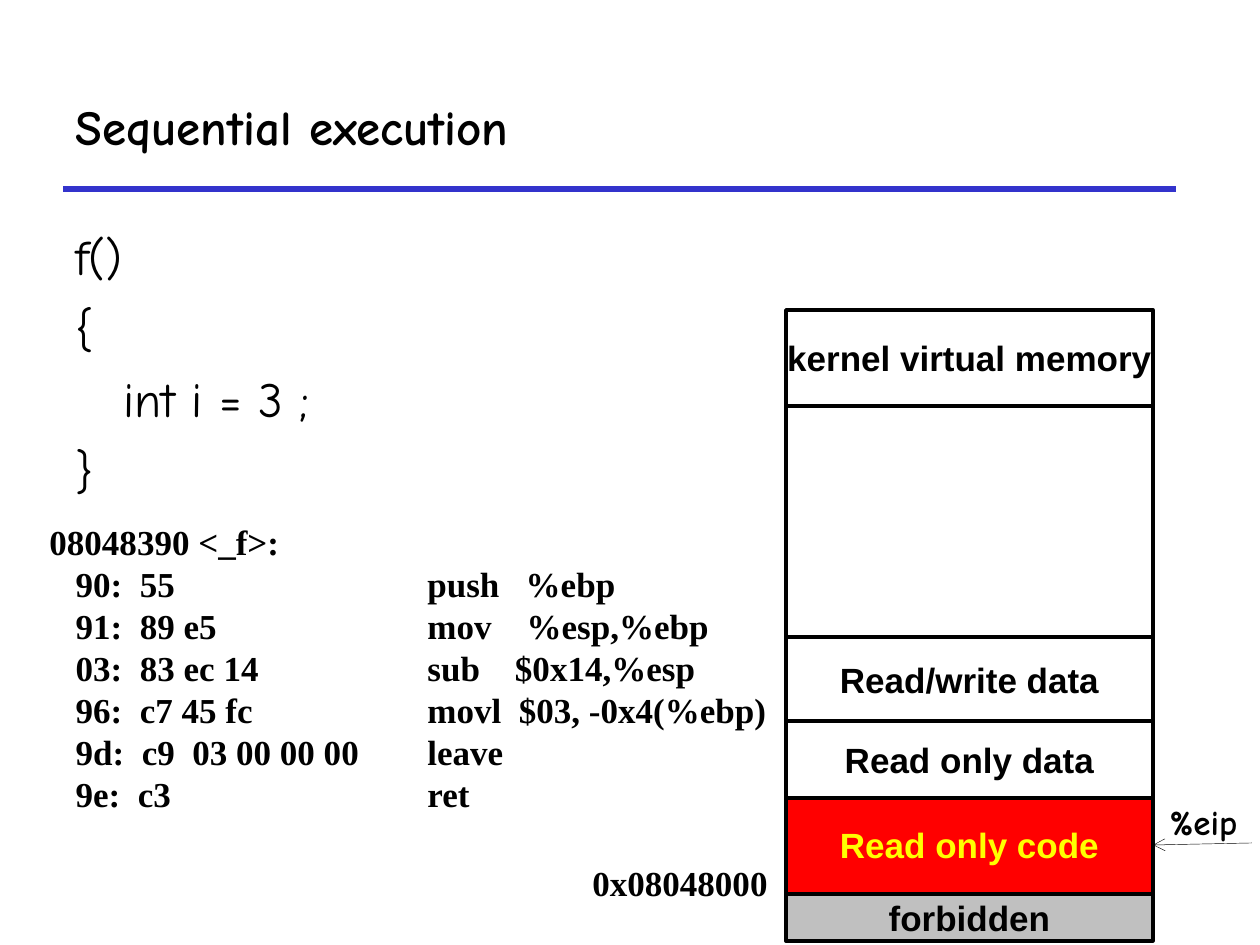
from lxml import etree
from pptx import Presentation
from pptx.dml.color import RGBColor
from pptx.enum.shapes import MSO_CONNECTOR, MSO_SHAPE
from pptx.enum.text import MSO_ANCHOR, PP_ALIGN
from pptx.oxml.ns import qn
from pptx.util import Emu, Pt

STRAIGHT = MSO_CONNECTOR.STRAIGHT
RECTANGLE = MSO_SHAPE.RECTANGLE
TOP, MIDDLE = MSO_ANCHOR.TOP, MSO_ANCHOR.MIDDLE
LEFT, CENTER = PP_ALIGN.LEFT, PP_ALIGN.CENTER

BLACK = RGBColor(0x00, 0x00, 0x00)
WHITE = RGBColor(0xFF, 0xFF, 0xFF)
BLUE = RGBColor(0x33, 0x33, 0xCC)
RED = RGBColor(0xFF, 0x00, 0x00)
YELLOW = RGBColor(0xFF, 0xFF, 0x00)
GREY = RGBColor(0xC0, 0xC0, 0xC0)

HAND, SERIF, SANS = "Comic Neue", "Times New Roman", "Arial"

TITLE = "Sequential execution"
SOURCE = ["f()", "{", "\tint i = 3 ;", "}"]
ASSEMBLY = [
    "08048390 <_f>:",
    "   90:  55\tpush   %ebp",
    "   91:  89 e5\tmov    %esp,%ebp",
    "   03:  83 ec 14\tsub    $0x14,%esp",
    "   96:  c7 45 fc\tmovl  $03, -0x4(%ebp)",
    "   9d:  c9  03 00 00 00\tleave",
    "   9e:  c3\tret",
]
MEMORY_LEFT, MEMORY_WIDTH = 786, 367
MEMORY = [
    ("kernel virtual memory", 310, 96, WHITE, BLACK),
    ("", 406, 273, WHITE, BLACK),
    ("Read only code", 794, 102, RED, YELLOW),
    ("Read only data", 721, 77, WHITE, BLACK),
    ("Read/write data", 637, 84, WHITE, BLACK),
    ("forbidden", 894, 47, GREY, BLACK),
]
LABELS = [
    ("0x08048000", SERIF, (574, 855, 212, 55)),
    ("%eip", HAND, (1152, 794, 103, 55)),
]


def px(length):
    return Emu(round(length * 914400 / 126))


def area(*lengths):
    return [px(length) for length in lengths]


def write(shape, lines, font, size, color=BLACK, bold=True, align=LEFT,
          anchor=TOP, wrap=True, gap=0, hang=0, tab=0):
    frame = shape.text_frame
    frame.word_wrap = wrap
    frame.vertical_anchor = anchor
    for index, line in enumerate(lines):
        para = frame.add_paragraph() if index else frame.paragraphs[0]
        para.alignment = align
        para.space_before = Pt(gap if index else 0)
        properties = para._p.get_or_add_pPr()
        if hang:
            properties.set("marL", str(px(hang)))
            properties.set("indent", str(-px(hang)))
        if tab:
            stops = etree.SubElement(properties, qn("a:tabLst"))
            etree.SubElement(stops, qn("a:tab"), pos=str(px(tab)), algn="l")
        span = para.add_run()
        span.text = line
        span.font.name = font
        span.font.size = Pt(size)
        span.font.bold = bold
        span.font.color.rgb = color


def add_line(page, ends, color, width, arrow=False):
    line = page.shapes.add_connector(STRAIGHT, *area(*ends))
    line.line.color.rgb = color
    line.line.width = Pt(width)
    if arrow:
        etree.SubElement(line.line._get_or_add_ln(), qn("a:tailEnd"), type="arrow")
    etree.SubElement(line._element.spPr, qn("a:effectLst"))


def add_region(page, name, top, height, fill, color):
    region = page.shapes.add_shape(
        RECTANGLE, *area(MEMORY_LEFT, top, MEMORY_WIDTH, height))
    region.shadow.inherit = False
    region.fill.solid()
    region.fill.fore_color.rgb = fill
    region.line.color.rgb = BLACK
    region.line.width = Pt(2)
    if name:
        write(region, [name], SANS, 20, color, align=CENTER, anchor=MIDDLE, wrap=False)


def main():
    deck = Presentation()
    deck.slide_width, deck.slide_height = area(1260, 945)
    page = deck.slides.add_slide(deck.slide_layouts[5])

    add_line(page, (63, 189, 1176, 189), BLUE, 3)
    title = page.shapes.title
    title.left, title.top, title.width, title.height = area(63, 63, 1113, 126)
    write(title, [TITLE], HAND, 28, anchor=MIDDLE)

    source = page.shapes.add_textbox(*area(63, 220, 388, 609))
    write(source, SOURCE, HAND, 28, bold=False, gap=7, hang=48)
    assembly = page.shapes.add_textbox(*area(37, 514, 777, 609))
    write(assembly, ASSEMBLY, SERIF, 20, tab=378)

    for region in MEMORY:
        add_region(page, *region)
    for text, font, place in LABELS:
        label = page.shapes.add_textbox(*area(*place))
        write(label, [text], font, 20, align=CENTER, wrap=False)
    add_line(page, (1252, 843, 1153, 845), BLACK, 0.25, arrow=True)

    deck.save("out.pptx")


if __name__ == "__main__":
    main()
